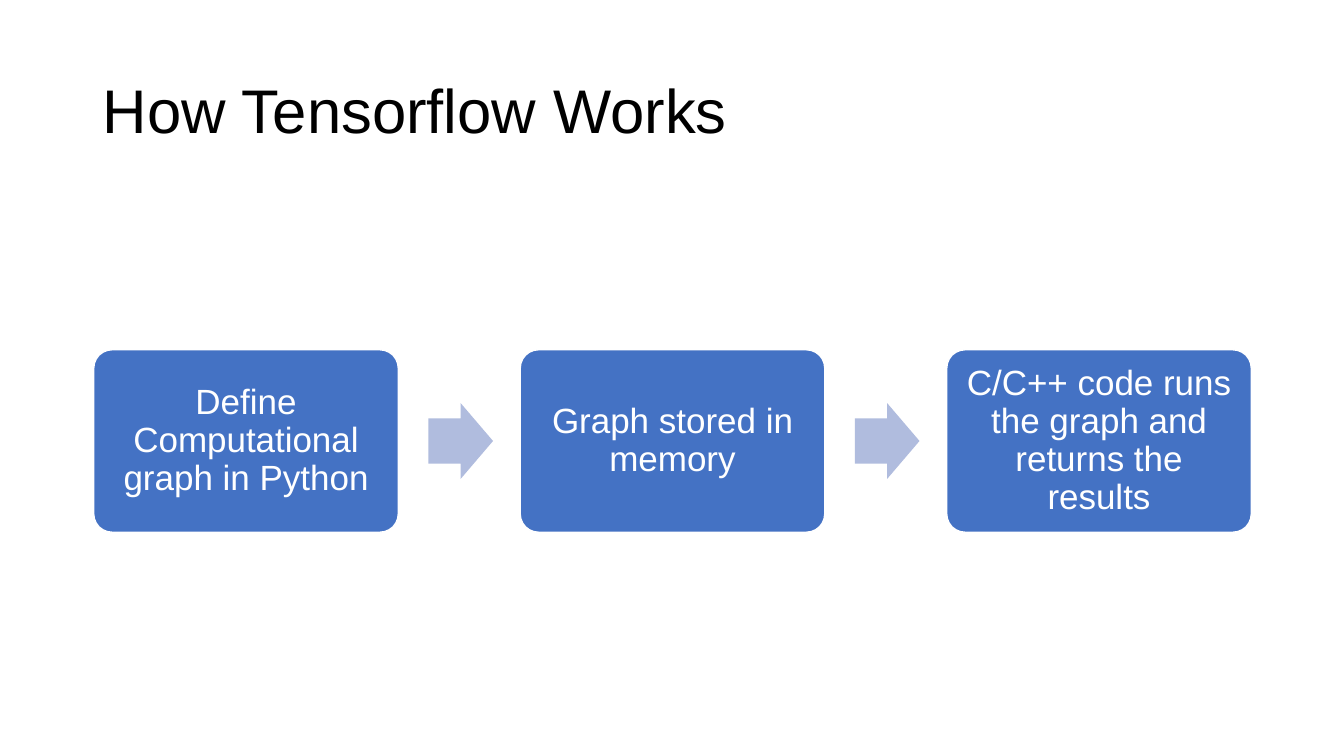
"""Build the slide that shows how Tensorflow works in three steps."""
from pptx import Presentation
from pptx.dml.color import RGBColor
from pptx.enum.shapes import MSO_SHAPE
from pptx.enum.text import MSO_ANCHOR, PP_ALIGN
from pptx.util import Inches, Pt

TITLE = "How Tensorflow Works"
STEPS = [
    "Define Computational graph in Python",
    "Graph stored in memory",
    "C/C++ code runs the graph and returns the results",
]

ROUNDED, ARROW = MSO_SHAPE.ROUNDED_RECTANGLE, MSO_SHAPE.RIGHT_ARROW
MIDDLE = MSO_ANCHOR.MIDDLE
LEFT, CENTER = PP_ALIGN.LEFT, PP_ALIGN.CENTER
BLACK = RGBColor(0x00, 0x00, 0x00)
WHITE = RGBColor(0xFF, 0xFF, 0xFF)
BLUE = RGBColor(0x44, 0x72, 0xC4)
PALE_BLUE = RGBColor(0xB0, 0xBC, 0xDE)

SLIDE_WIDTH, SLIDE_HEIGHT = 13.33, 7.5
TITLE_AREA = (0.92, 0.4, 11.5, 1.45)
FIRST_LEFT, STEP_PITCH = 0.93, 4.23
STEP_WIDTH, STEP_HEIGHT = 3.02, 1.81
ARROW_WIDTH, ARROW_HEIGHT, ARROW_GAP = 0.64, 0.75, 0.3
ROW_MIDDLE = 4.375


def write(box, text, size, color, align):
    frame = box.text_frame
    frame.word_wrap = True
    frame.vertical_anchor = MIDDLE
    para = frame.paragraphs[0]
    para.alignment = align
    para.line_spacing = 0.9
    span = para.add_run()
    span.text = text
    span.font.name = "Arial"
    span.font.size = Pt(size)
    span.font.color.rgb = color


def add_block(page, kind, left, width, height, fill, adjustments):
    top = ROW_MIDDLE - height / 2
    block = page.shapes.add_shape(kind, *map(Inches, (left, top, width, height)))
    block.shadow.inherit = False
    block.fill.solid()
    block.fill.fore_color.rgb = fill
    block.line.fill.background()
    for index, value in enumerate(adjustments):
        block.adjustments[index] = value
    return block


def add_step(page, left, text):
    step = add_block(page, ROUNDED, left, STEP_WIDTH, STEP_HEIGHT, BLUE, [0.1])
    step.line.color.rgb = WHITE
    step.line.width = Pt(1)
    frame = step.text_frame
    frame.margin_left = frame.margin_right = Inches(0.1)
    frame.margin_top = frame.margin_bottom = Inches(0.1)
    write(step, text, 25, WHITE, CENTER)


def main():
    deck = Presentation()
    deck.slide_width, deck.slide_height = Inches(SLIDE_WIDTH), Inches(SLIDE_HEIGHT)
    page = deck.slides.add_slide(deck.slide_layouts[6])
    title = page.shapes.add_textbox(*map(Inches, TITLE_AREA))
    write(title, TITLE, 44, BLACK, LEFT)
    for index, text in enumerate(STEPS):
        left = FIRST_LEFT + index * STEP_PITCH
        add_step(page, left, text)
        if index < len(STEPS) - 1:
            arrow_left = left + STEP_WIDTH + ARROW_GAP
            add_block(page, ARROW, arrow_left, ARROW_WIDTH, ARROW_HEIGHT,
                      PALE_BLUE, [0.6, 0.5])
    deck.save("out.pptx")


if __name__ == "__main__":
    main()
